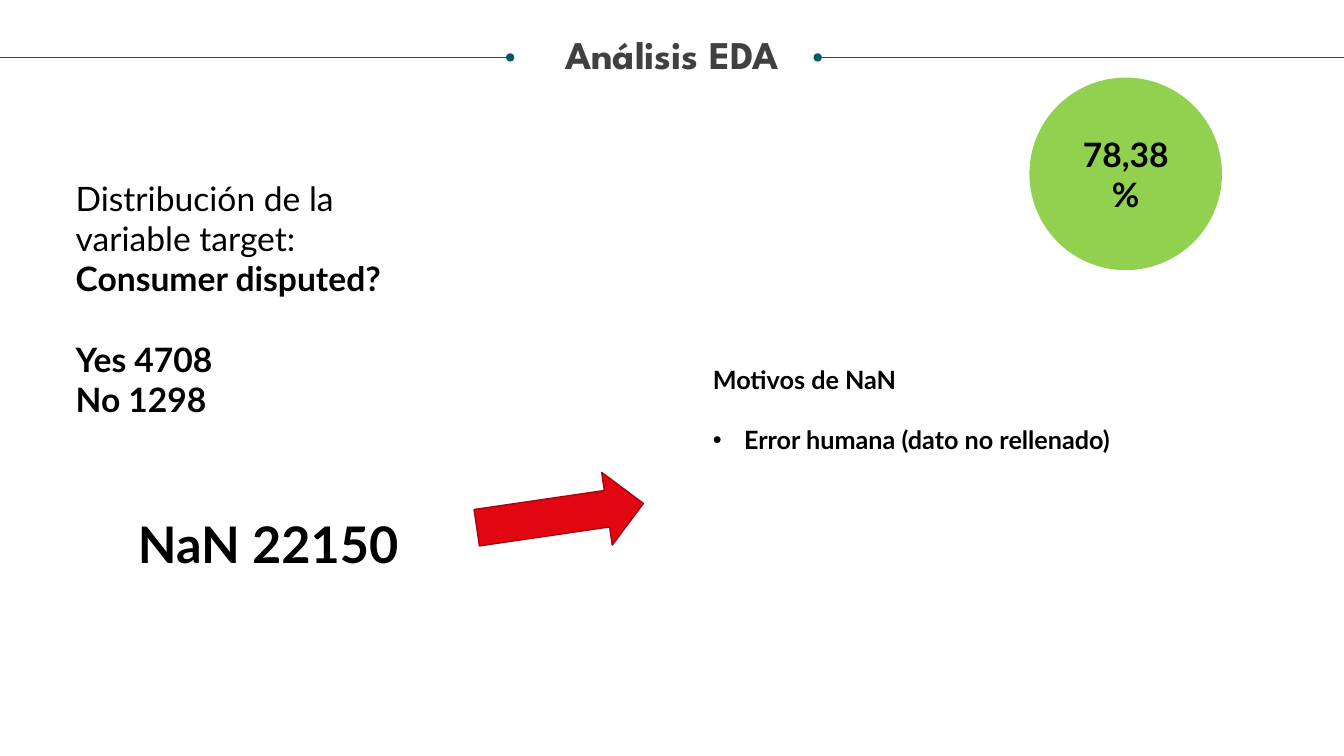
from lxml import etree
from pptx import Presentation
from pptx.dml.color import RGBColor
from pptx.enum.shapes import MSO_CONNECTOR, MSO_SHAPE
from pptx.enum.text import MSO_ANCHOR, MSO_AUTO_SIZE, PP_ALIGN
from pptx.oxml.ns import qn
from pptx.util import Inches, Pt

TEAL = RGBColor(0x08, 0x57, 0x64)
GRAY = RGBColor(0x40, 0x40, 0x40)
BLACK = RGBColor(0, 0, 0)
RED = RGBColor(0xE2, 0x06, 0x13)
DARK_RED = RGBColor(0xA7, 0x04, 0x0E)
GREEN = RGBColor(0x92, 0xD0, 0x50)

STRAIGHT = MSO_CONNECTOR.STRAIGHT
ARROW, OVAL = MSO_SHAPE.RIGHT_ARROW, MSO_SHAPE.OVAL
TOP, MIDDLE = MSO_ANCHOR.TOP, MSO_ANCHOR.MIDDLE
LEFT, CENTER = PP_ALIGN.LEFT, PP_ALIGN.CENTER
FIXED = MSO_AUTO_SIZE.NONE

WIDTH = 13.33


def place(shape, box):
    shape.left, shape.top, shape.width, shape.height = map(Inches, box)


def set_bullet(para, indent):
    """Hang a bullet at the given indent, or clear it when there is none."""
    props = para._p.get_or_add_pPr()
    props.set("marL", str(Inches(indent)))
    props.set("indent", str(-Inches(indent)))
    if indent:
        etree.SubElement(props, qn("a:buFont")).set("typeface", "Arial")
        etree.SubElement(props, qn("a:buChar")).set("char", "•")
    else:
        etree.SubElement(props, qn("a:buNone"))


def write(shape, lines, size, font="Lato", color=BLACK, align=LEFT,
          anchor=TOP, inset=(0.1, 0.05), spacing=1.0):
    """Fill a shape with lines of (text, bold, space before, indent)."""
    frame = shape.text_frame
    frame.word_wrap = True
    frame.auto_size = FIXED
    frame.vertical_anchor = anchor
    frame.margin_left = frame.margin_right = Inches(inset[0])
    frame.margin_top = frame.margin_bottom = Inches(inset[1])
    for i, (text, bold, before, indent) in enumerate(lines):
        para = frame.add_paragraph() if i else frame.paragraphs[0]
        para.alignment = align
        para.line_spacing = spacing
        para.space_before = Pt(before)
        set_bullet(para, indent)
        run = para.add_run()
        run.text = text
        run.font.name = font
        run.font.size = Pt(size)
        run.font.bold = bold
        run.font.color.rgb = color


def add_rule(slide, edge, end, y):
    """Draw a line from the slide edge to a dot."""
    rule = slide.shapes.add_connector(
        STRAIGHT, Inches(edge), Inches(y), Inches(end), Inches(y))
    rule.line.color.rgb = TEAL
    rule.line.width = Pt(0.5)
    etree.SubElement(rule.line._get_or_add_ln(), qn("a:tailEnd")).set("type", "oval")
    etree.SubElement(rule._element.spPr, qn("a:effectLst"))


def add_shape(slide, kind, box, fill):
    shape = slide.shapes.add_shape(kind, *map(Inches, box))
    shape.shadow.inherit = False
    shape.fill.solid()
    shape.fill.fore_color.rgb = fill
    shape.line.fill.background()
    return shape


def add_head(slide, box):
    title = slide.shapes.title
    place(title, box)
    write(title, [("Análisis EDA", True, 0, 0)], 28, font="League Spartan",
          color=GRAY, align=CENTER, inset=(0, 0), spacing=0.9)
    y = box[1] + 0.22
    add_rule(slide, 0, 5.06, y)
    add_rule(slide, WIDTH, 8.11, y)


def add_target(slide, box):
    body = slide.placeholders[1]
    place(body, box)
    write(body, [("Distribución de la variable target:", False, 0, 0),
                 ("Consumer disputed?", True, 0, 0),
                 ("Yes 4708", True, 28.8, 0),
                 ("No 1298", True, 0, 0)], 24)


def add_causes(slide, box):
    body = slide.placeholders[2]
    place(body, box)
    write(body, [("Motivos de NaN", True, 0, 0),
                 ("Error humana (dato no rellenado)", True, 21.6, 0.31)], 18)


def add_missing(slide, box):
    """Place the NaN count with the arrow that leads to its causes."""
    x, y, w, h = box
    count = slide.shapes.add_textbox(*map(Inches, box))
    write(count, [("NaN 22150", True, 0, 0)], 36, align=CENTER,
          inset=(0, 0), spacing=Pt(19))
    arrow = add_shape(slide, ARROW, (x + w + 0.51, y - 0.68, 1.67, 0.73), RED)
    arrow.rotation = -8.3
    arrow.line.color.rgb = DARK_RED
    arrow.line.width = Pt(1)


def add_share(slide, box):
    disc = add_shape(slide, OVAL, box, GREEN)
    write(disc, [("78,38 %", True, 0, 0)], 24, align=CENTER, anchor=MIDDLE)


def main():
    deck = Presentation()
    deck.slide_width, deck.slide_height = Inches(WIDTH), Inches(7.5)
    slide = deck.slides.add_slide(deck.slide_layouts.get_by_name("Two Content"))
    add_head(slide, (0.25, 0.35, 12.83, 0.85))
    add_target(slide, (0.65, 1.71, 3.38, 2.93))
    add_missing(slide, (1.11, 5.43, 3.1, 0.32))
    add_share(slide, (10.21, 0.77, 1.91, 1.91))
    add_causes(slide, (6.97, 3.56, 5.15, 1.62))
    deck.save("out.pptx")


if __name__ == "__main__":
    main()
